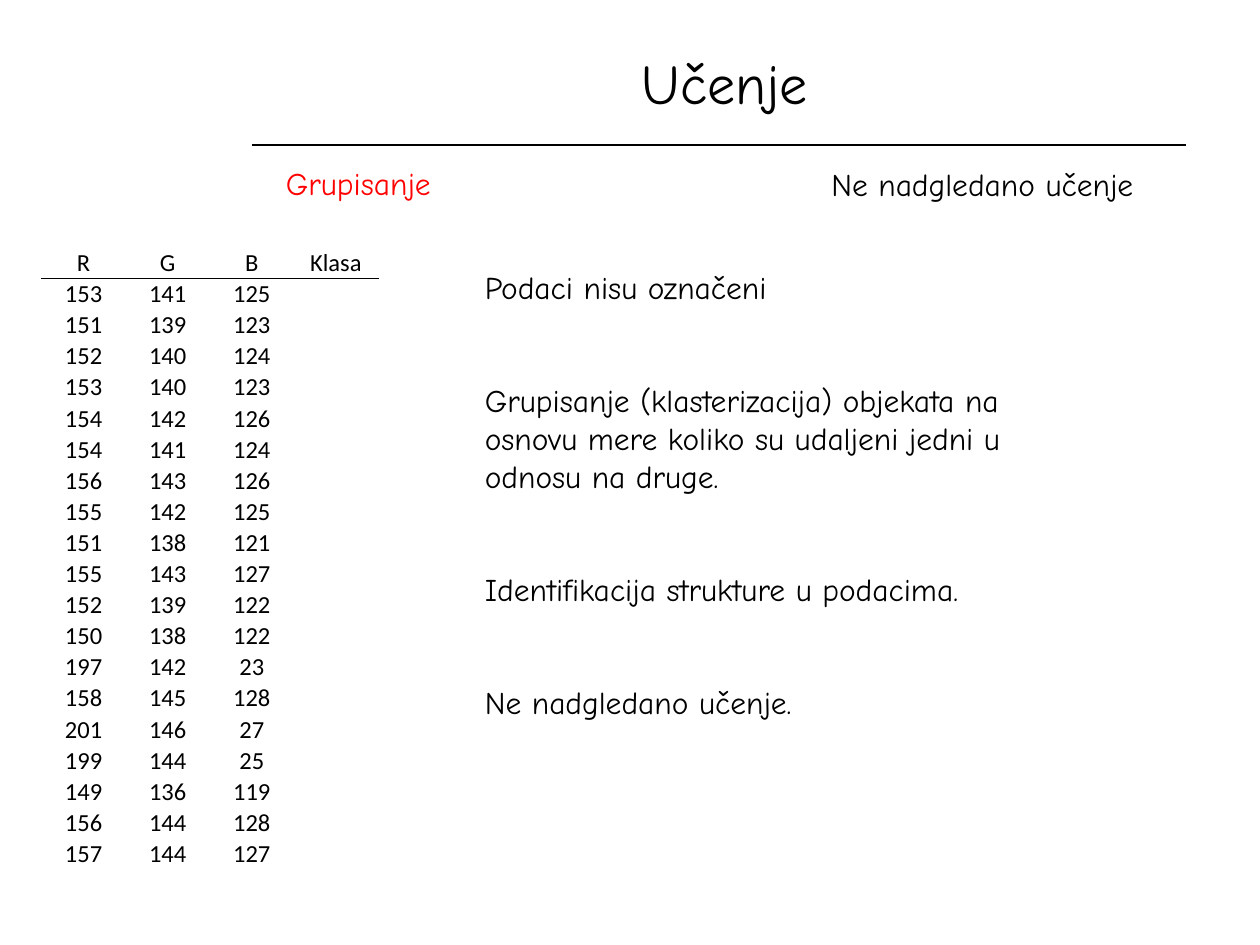
import pptx
import pptx.util
import pptx.dml.color
import pptx.enum.shapes
import pptx.enum.text
import pptx.oxml
import pptx.oxml.ns
import lxml.etree

Inches, Pt = pptx.util.Inches, pptx.util.Pt
MIDDLE = pptx.enum.text.MSO_ANCHOR.MIDDLE
TOP = pptx.enum.text.MSO_ANCHOR.TOP
CENTER = pptx.enum.text.PP_ALIGN.CENTER
LEFT = pptx.enum.text.PP_ALIGN.LEFT
COLORS = {"black": "000000", "red": "FF0000"}


def style(p, font, size, color, align):
    p.alignment = align
    p.font.name = font
    p.font.size = Pt(size)
    p.font.color.rgb = pptx.dml.color.RGBColor.from_string(COLORS[color])


def border(cell, side):
    ln = pptx.oxml.parse_xml(
        f'<a:{side} {pptx.oxml.ns.nsdecls("a")} w="{Pt(0.5)}"><a:solidFill>'
        f'<a:srgbClr val="{COLORS["black"]}"/></a:solidFill></a:{side}>')
    cell._tc.get_or_add_tcPr().insert(0, ln)


prs = pptx.Presentation()
prs.slide_width, prs.slide_height = Inches(10), Inches(7.5)
s = prs.slides.add_slide(prs.slide_layouts[6])

rule = s.shapes.add_connector(pptx.enum.shapes.MSO_CONNECTOR.STRAIGHT,
                              Inches(2), Inches(1.15), Inches(9.41), Inches(1.15))
rule.line.width = Pt(0.75)
rule.line.color.rgb = pptx.dml.color.RGBColor.from_string(COLORS["black"])
lxml.etree.SubElement(rule._element.spPr, pptx.oxml.ns.qn("a:effectLst"))

samples = [
    (153, 141, 125), (151, 139, 123), (152, 140, 124), (153, 140, 123),
    (154, 142, 126), (154, 141, 124), (156, 143, 126), (155, 142, 125),
    (151, 138, 121), (155, 143, 127), (152, 139, 122), (150, 138, 122),
    (197, 142, 23), (158, 145, 128), (201, 146, 27), (199, 144, 25),
    (149, 136, 119), (156, 144, 128), (157, 144, 127),
]
rows = [("R", "G", "B", "Klasa")] + [(*rgb, "") for rgb in samples]
table = s.shapes.add_table(len(rows), 4, Inches(0.33), Inches(1.96),
                           Inches(2.67), Inches(4.88)).table
table.first_row = table.horz_banding = False
for i, row in enumerate(rows):
    for j, value in enumerate(row):
        cell = table.cell(i, j)
        cell.margin_left = cell.margin_right = cell.margin_top = Inches(0.01)
        cell.margin_bottom = 0
        cell.vertical_anchor = pptx.enum.text.MSO_ANCHOR.BOTTOM
        cell.fill.background()
        cell.text = str(value)
        p = cell.text_frame.paragraphs[0]
        style(p, "Calibri", 14, "black", CENTER)
        if value == "":
            p._p.get_or_add_endParaRPr().set("sz", "1400")
        if i < 2:
            border(cell, "lnT" if i else "lnB")

texts = [
    (2, 0.28, 7.5, 0.75, 32, "black", CENTER, MIDDLE, ["Učenje"]),
    (6.5, 1.26, 3, 0.4, 18, "black", LEFT, TOP, ["Ne nadgledano učenje"]),
    (3.75, 2.08, 5, 3.74, 18, "black", LEFT, TOP, [
        "Podaci nisu označeni",
        "Grupisanje (klasterizacija) objekata na osnovu mere koliko su "
        "udaljeni jedni u odnosu na druge.",
        "Identifikacija strukture u podacima.",
        "Ne nadgledano učenje."]),
    (2.17, 1.25, 2.75, 0.4, 18, "red", LEFT, TOP, ["Grupisanje"]),
]
for x, y, w, h, size, color, align, anchor, lines in texts:
    tf = s.shapes.add_textbox(Inches(x), Inches(y), Inches(w), Inches(h)).text_frame
    tf.word_wrap = True
    tf.vertical_anchor = anchor
    tf.text = "\n".join(lines)
    for i, p in enumerate(tf.paragraphs):
        style(p, "Comic Neue", size, color, align)
        if i:
            p.space_before = Pt(43)

prs.save("out.pptx")
